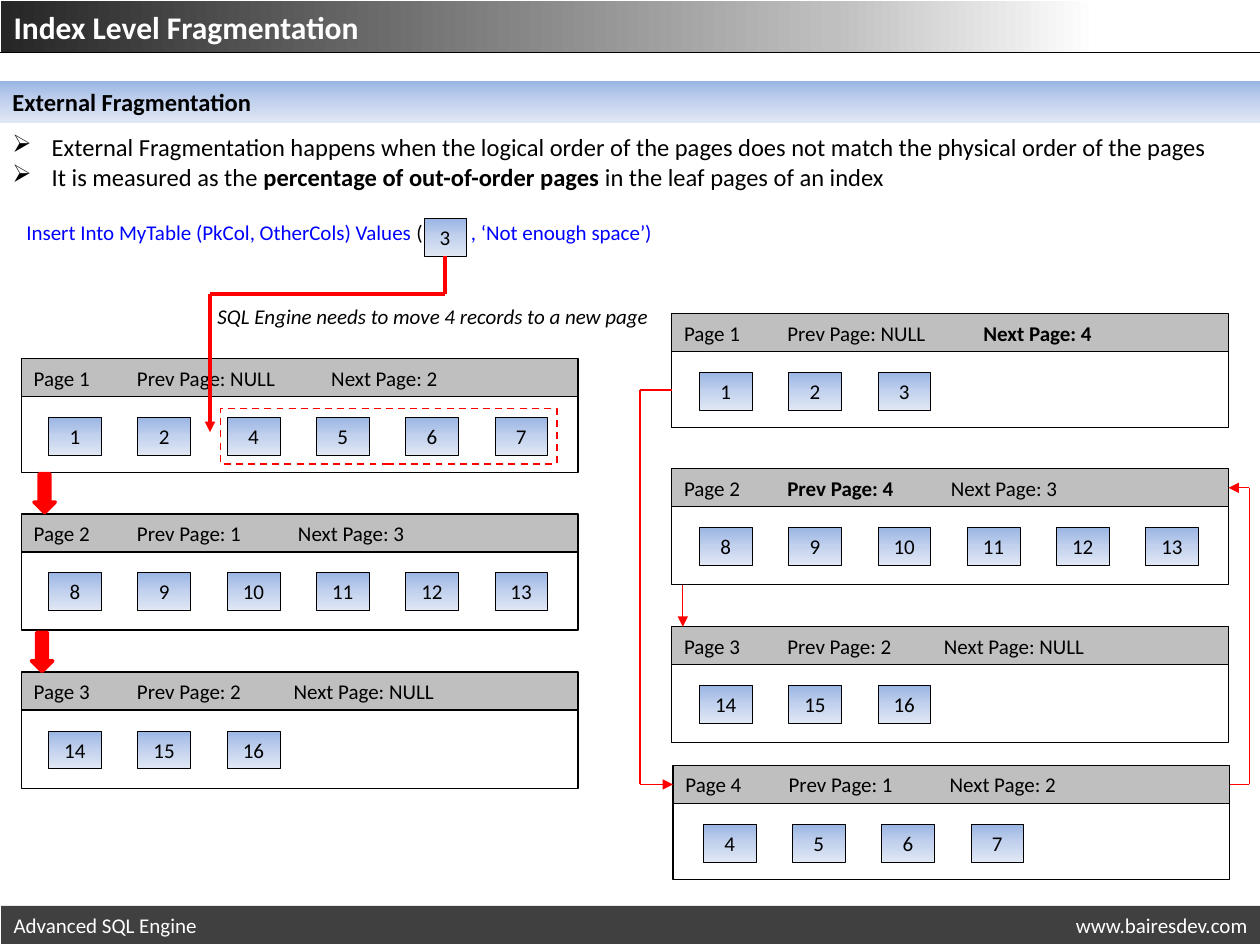
from lxml.etree import SubElement
from pptx import Presentation
from pptx.dml.color import RGBColor
from pptx.enum.dml import MSO_LINE
from pptx.enum.shapes import MSO_CONNECTOR, MSO_SHAPE as Shape
from pptx.enum.text import MSO_ANCHOR as Anchor, PP_ALIGN as Align
from pptx.oxml.ns import qn
from pptx.util import Pt

BLACK = RGBColor(0x00, 0x00, 0x00)
WHITE = RGBColor(0xFF, 0xFF, 0xFF)
RED = RGBColor(0xFF, 0x00, 0x00)
BLUE = RGBColor(0x00, 0x00, 0xFF)
HEADER_GRAY = RGBColor(0xBF, 0xBF, 0xBF)
FOOTER_GRAY = RGBColor(0x40, 0x40, 0x40)
CHARCOAL = RGBColor(0x26, 0x26, 0x26)
SKY = RGBColor(0x9A, 0xB5, 0xE4)
PALE = RGBColor(0xC2, 0xD1, 0xED)
ICE = RGBColor(0xE1, 0xE8, 0xF5)

# Gradients: stops in percent, and the angle counter-clockwise
BLUE_FADE = ([(0, SKY), (50, PALE), (100, ICE)], 270)
TITLE_FADE = ([(0, CHARCOAL), (66, HEADER_GRAY), (87, WHITE)], 0)

prs = Presentation()
prs.slide_width, prs.slide_height = Pt(720), Pt(540)
slide = prs.slides.add_slide(prs.slide_layouts[6])


def add_box(text, x, y, w, h, *, kind=Shape.RECTANGLE, fill=None, line=None,
            line_width=0.75, dash=None, size=12, color=BLACK, bold=False,
            italic=False, align=Align.LEFT, tabs=(), bullet=None, mark=None):
    """Add a shape, or a text box if kind is None; runs between bars are marked:
    in the mark colour if there is one, else bold."""
    place = Pt(x), Pt(y), Pt(w), Pt(h)
    if kind is None:
        box = slide.shapes.add_textbox(*place)
    else:
        box = slide.shapes.add_shape(kind, *place)
        box.shadow.inherit = False
        if fill is None:
            box.fill.background()
        elif isinstance(fill, RGBColor):
            box.fill.solid()
            box.fill.fore_color.rgb = fill
        else:
            stops, angle = fill
            box.fill.gradient()
            box.fill.gradient_angle = angle
            stop_list = box._element.spPr.find(".//" + qn("a:gsLst"))
            stop_list.clear()
            for percent, stop_color in stops:
                stop = SubElement(stop_list, qn("a:gs"), pos=str(percent * 1000))
                SubElement(stop, qn("a:srgbClr"), val=str(stop_color))
        if line is None:
            box.line.fill.background()
        else:
            box.line.color.rgb = line
            box.line.width = Pt(line_width)
            if dash:
                box.line.dash_style = dash
    if not text:
        return box
    frame = box.text_frame
    frame.word_wrap = True
    frame.vertical_anchor = Anchor.TOP if kind is None else Anchor.MIDDLE
    for i, content in enumerate(text.split("\n")):
        para = frame.add_paragraph() if i else frame.paragraphs[0]
        para.alignment = align
        props = para._p.get_or_add_pPr()
        if bullet:
            props.set("marL", str(Pt(22.5)))
            props.set("indent", str(-Pt(22.5)))
            SubElement(props, qn("a:buChar"), char=bullet)
        if tabs:
            tab_list = SubElement(props, qn("a:tabLst"))
            for tab in tabs:
                SubElement(tab_list, qn("a:tab"), pos=str(Pt(tab)), algn="l")
        for j, part in enumerate(content.split("|")):
            if not part:
                continue
            marked = j % 2 == 1
            run = para.add_run()
            run.text = part
            run.font.name, run.font.size = "Calibri", Pt(size)
            run.font.bold = bold or (marked and mark is None)
            run.font.italic = italic
            run.font.color.rgb = mark if marked and mark is not None else color
    return box


def add_line(x1, y1, x2, y2, *, color=RED, width=0.75, arrow=False, end=None):
    """Add a straight line; end is the (shape, side) it is joined to."""
    link = slide.shapes.add_connector(
        MSO_CONNECTOR.STRAIGHT, Pt(x1), Pt(y1), Pt(x2), Pt(y2))
    link.line.color.rgb = color
    link.line.width = Pt(width)
    props = link._element.spPr
    if arrow:
        SubElement(props.find(qn("a:ln")), qn("a:tailEnd"), type="triangle")
    SubElement(props, qn("a:effectLst"))
    if end:
        link.end_connect(*end)


# Definition
add_box("External Fragmentation happens when the logical order of the pages "
        "does not match the physical order of the pages\n"
        "It is measured as the |percentage of out-of-order pages| in the leaf "
        "pages of an index",
        0, 72, 720, 41, kind=None, size=14, bullet="➢")

# Pages before (left) and after (right) the insert
CELL = dict(fill=BLUE_FADE, line=BLACK, line_width=0.25, align=Align.CENTER)
PAGE_W, HEADER_H, CELL_W, CELL_STEP = 318.2, 21.7, 30.2, 51
LEFT_X, RIGHT_X = 12.2, 383.8
# x, y, body height, first cell offset, second tab, header, keys
pages = [
    (LEFT_X, 205, 43.4, 15.5, 170, "Page 1\tPrev Page: NULL\tNext Page: 2", (1, 2, 4, 5, 6, 7)),
    (LEFT_X, 293.7, 44.6, 15.5, 151, "Page 2\tPrev Page: 1\tNext Page: 3", range(8, 14)),
    (LEFT_X, 384.1, 44.6, 15.5, 148.5, "Page 3\tPrev Page: 2\tNext Page: NULL", range(14, 17)),
    (RIGHT_X, 179.3, 43.4, 15.8, 171, "Page 1\tPrev Page: NULL\t|Next Page: 4|", range(1, 4)),
    (RIGHT_X, 267.9, 44.6, 15.8, 152.5, "Page 2\t|Prev Page: 4|\tNext Page: 3", range(8, 14)),
    (RIGHT_X, 358.2, 44.6, 15.8, 148.5, "Page 3\tPrev Page: 2\tNext Page: NULL", range(14, 17)),
    (RIGHT_X + 0.8, 437.4, 43.4, 17.2, 151, "Page 4\tPrev Page: 1\tNext Page: 2", range(4, 8)),
]
headers, bodies = [], []
for x, y, body_h, offset, tab, header, keys in pages:
    headers.append(add_box(header, x, y, PAGE_W, HEADER_H, fill=HEADER_GRAY,
                           line=BLACK, tabs=(59, tab)))
    bodies.append(add_box("", x, y + HEADER_H, PAGE_W, body_h, line=BLACK))
    for i, key in enumerate(keys):
        add_box(str(key), x + offset + i * CELL_STEP, y + 33.5, CELL_W, 21.7, **CELL)

# Insert statement with its new key
new_key = add_box("3", 242.2, 124.7, 24, 21.7, **CELL)
add_box("Insert Into MyTable (PkCol, OtherCols) Values |(|\t, ‘Not enough space’)",
        8, 121.7, 374.4, 21.7, kind=None, color=BLUE, mark=BLACK, tabs=(254,))

# Records to move
add_box("SQL Engine needs to move 4 records to a new page",
        117.2, 170.2, 266.4, 21.7, kind=None, italic=True)
add_box("", 126, 233.4, 192.2, 31.6, line=RED, line_width=1, dash=MSO_LINE.DASH)

# Path of the new key into page 1
add_line(120, 168, 120, 247, width=2, arrow=True)
add_line(254.2, 168, 120, 168, width=2)
add_line(254.2, 168, 254.2, 146.4, width=2, end=(new_key, 2))

# Links between the pages after the insert
page1_body, page2_header, page4_header = bodies[3], headers[4], headers[6]
page1_y, page2_y, page4_y = (
    part.top.pt + part.height.pt / 2
    for part in (page1_body, page2_header, page4_header))
NEXT_X, PREV_X, RIGHT_EDGE = 365.8, 714, RIGHT_X + PAGE_W
add_line(NEXT_X, page1_y, NEXT_X, page4_y, width=1)
add_line(NEXT_X, page4_y, RIGHT_X, page4_y, arrow=True, end=(page4_header, 1))
add_line(NEXT_X, page1_y, RIGHT_X, page1_y, width=1, end=(page1_body, 1))
add_line(PREV_X, page4_y, PREV_X, page2_y)
add_line(PREV_X, page2_y, RIGHT_EDGE, page2_y, arrow=True, end=(page2_header, 3))
add_line(PREV_X, page4_y, RIGHT_EDGE, page4_y, end=(page4_header, 3))
add_line(390.2, 334.2, 390.2, 358.2, arrow=True)

# Page order before the insert
for x, y in ((19.4, 270.7), (18, 361.4)):
    add_box("", x, y, 12.2, 22.3, kind=Shape.DOWN_ARROW, fill=RED, line=RED, line_width=2)

# Section and title bars
add_box("External Fragmentation", 0, 46, 720, 24.3, fill=BLUE_FADE, size=14, bold=True)
add_box("Index Level Fragmentation", 0.7, 0.7, 720, 29, fill=TITLE_FADE,
        size=18, color=WHITE, bold=True)
add_line(0, 30, 720, 30, color=BLACK, width=0.5)

# Footer
add_box("www.bairesdev.com", 586.8, 517.7, 133.2, 21.7, fill=FOOTER_GRAY,
        color=WHITE, align=Align.RIGHT)
add_box("Advanced SQL Engine", 0.7, 517.7, 586.1, 21.7, fill=FOOTER_GRAY, color=WHITE)

prs.save("out.pptx")
